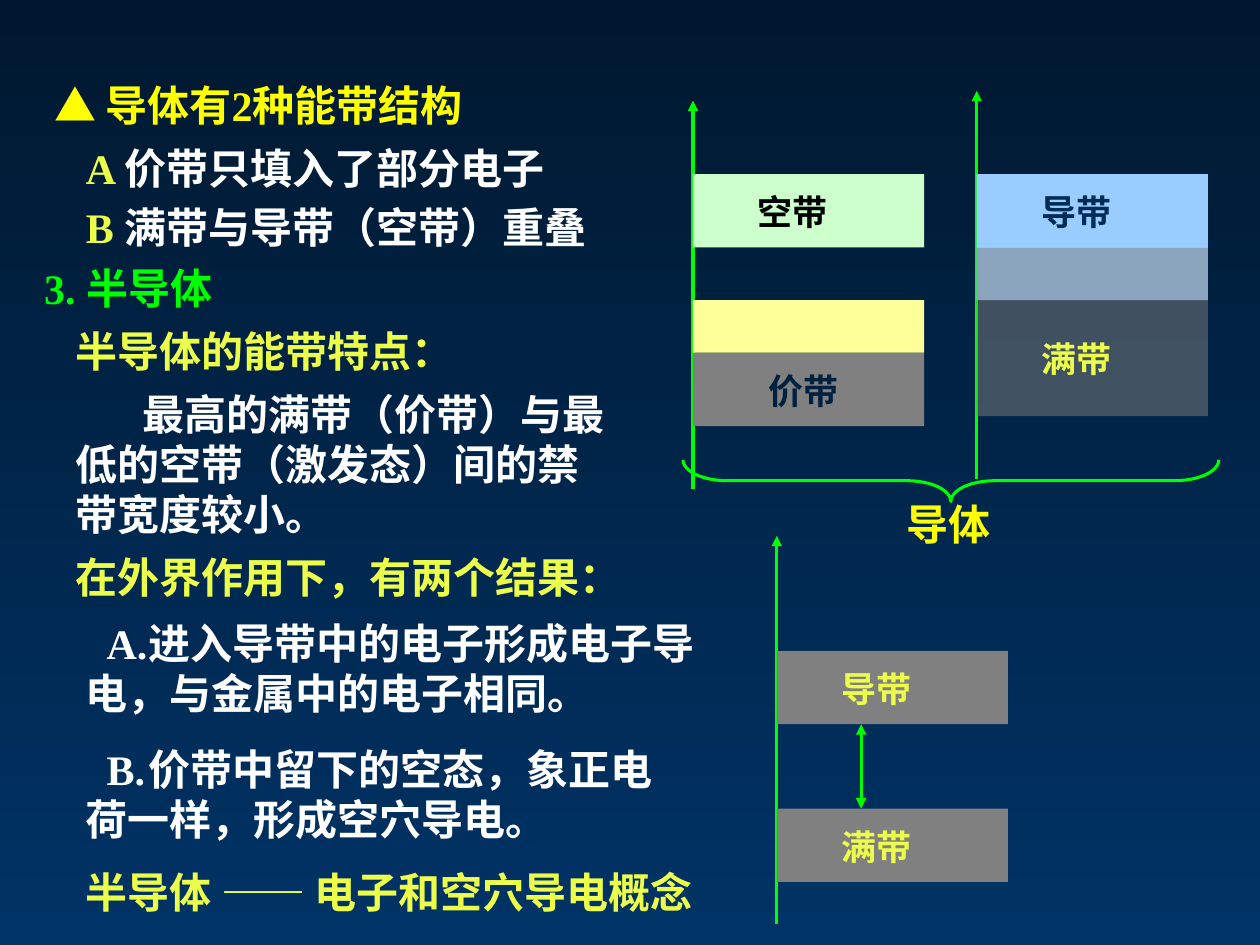
"""Build a slide on the energy bands of conductors and semiconductors."""
import pptx
import pptx.util
import pptx.dml.color
import pptx.enum.shapes
import pptx.enum.text
import pptx.oxml.ns
import lxml.etree

Cm = pptx.util.Cm
Pt = pptx.util.Pt
qn = pptx.oxml.ns.qn
kinds = pptx.enum.shapes.MSO_SHAPE
green, lime, yellow, white, gray = "00FF00", "EDFE4A", "FFFF00", "FFFFFF", "808080"


def hue(code):
    return pptx.dml.color.RGBColor.from_string(code)


def write(box, runs, size, first=0, tab=0):
    left, top, wide, high = box
    frame = slide.shapes.add_textbox(Cm(left), Cm(top), Cm(wide), Cm(high)).text_frame
    frame.word_wrap = True
    frame.auto_size = pptx.enum.text.MSO_AUTO_SIZE.SHAPE_TO_FIT_TEXT
    para = frame.paragraphs[0]
    props = para._p.get_or_add_pPr()
    if first:
        props.set("marL", "0")
        props.set("indent", str(Cm(first)))
    if tab:
        stops = lxml.etree.SubElement(props, qn("a:tabLst"))
        lxml.etree.SubElement(stops, qn("a:tab"), pos=str(Cm(tab)), algn="l")
    for words, code in runs:
        run = para.add_run()
        run.text = words
        style = {"name": "Times New Roman", "size": Pt(size), "bold": True}
        for key, value in style.items():
            setattr(run.font, key, value)
        run.font.color.rgb = hue(code)


deck = pptx.Presentation()
deck.slide_width, deck.slide_height = Cm(25.4), Cm(19.05)
slide = deck.slides.add_slide(deck.slide_layouts[6])

back = slide.background.fill
back.gradient()
back.gradient_angle = 270
for stop, code in zip(back.gradient_stops, ("00182F", "003366")):
    stop.color.rgb = hue(code)

arrows = [
    (19.69, 9.65, 1.83, ["tailEnd"]),
    (13.97, 9.86, 2.03, ["tailEnd"]),
    (15.66, 18.62, 10.8, ["tailEnd"]),
    (17.36, 14.6, 16.3, ["headEnd", "tailEnd"]),
]
for x, start, end, tips in arrows:
    line = slide.shapes.add_connector(
        pptx.enum.shapes.MSO_CONNECTOR.STRAIGHT, Cm(x), Cm(start), Cm(x), Cm(end))
    line.line.color.rgb = hue(green)
    line.line.width = Pt(1.75)
    for tip in tips:
        lxml.etree.SubElement(line.line._get_or_add_ln(), qn("a:" + tip), type="triangle")
    lxml.etree.SubElement(line._element.spPr, qn("a:effectLst"))

bands = [
    (19.69, 3.51, 2.54, "99CCFF", 100, "导带", "002B56", 1.06, 0.21),
    (13.97, 3.51, 1.48, "CCFFCC", 100, "空带", "000000", 1.06, 0.21),
    (13.97, 7.11, 1.48, gray, 100, "价带", "002040", 1.27, 0.21),
    (13.97, 6.05, 1.06, "FFFF99", 100, "", "", 0, 0),
    (19.69, 5, 3.39, gray, 50, "满带", lime, 1.06, 1.68),
    (15.66, 16.3, 1.48, gray, 100, "满带", lime, 1.06, 0.21),
    (15.66, 13.12, 1.48, gray, 100, "导带", lime, 1.06, 0.21),
]
for left, top, high, code, solid, name, ink, right, down in bands:
    band = slide.shapes.add_shape(kinds.RECTANGLE, Cm(left), Cm(top), Cm(4.66), Cm(high))
    band.shadow.inherit = False
    band.fill.solid()
    band.fill.fore_color.rgb = hue(code)
    band.line.fill.background()
    if solid < 100:
        color = band._element.spPr.find(".//" + qn("a:srgbClr"))
        lxml.etree.SubElement(color, qn("a:alpha"), val=str(solid * 1000))
    if name:
        write((left + right, top + down, 3.6, 1.1), [(name, ink)], 20)

brace = slide.shapes.add_shape(kinds.LEFT_BRACE, Cm(18.75), Cm(4.29), Cm(0.84), Cm(10.8))
brace.rotation = 270
brace.adjustments[0] = 1.06
brace.adjustments[1] = 0.5
brace.shadow.inherit = False
brace.fill.background()
brace.line.color.rgb = hue(green)
brace.line.width = Pt(1.75)

notes = [
    ((0.84, 1.47, 11.43, 1.27), [("▲ 导体有2种能带结构", yellow)], 0, 0),
    ((18.03, 9.93, 4.66, 1.27), [("导体", yellow)], 0, 0),
    ((1.48, 2.75, 11.91, 1.27), [("A ", lime), ("价带只填入了部分电子", white)], 0, 0),
    ((1.48, 3.93, 13.76, 1.27), [("B ", lime), ("满带与导带（空带）重叠", white)], 0, 0),
    ((0.64, 5.16, 12.06, 1.27), [("3. 半导体", green)], 0, 0),
    ((1.27, 6.43, 11.91, 1.27), [("半导体的能带特点：", lime)], 0, 0),
    ((1.27, 7.7, 11.22, 3.32),
     [("最高的满带（价带）与最低的空带（激发态）间的禁带宽度较小。", white)], 1.35, 0),
    ((1.27, 11, 13.34, 1.27), [("在外界作用下，有两个结果：", lime)], 0, 0),
    ((1.48, 12.32, 13, 2.3),
     [("A.\t进入导带中的电子形成电子导电，与金属中的电子相同。", white)], 0.42, 1.87),
    ((1.48, 14.86, 12.62, 2.3),
     [("B.\t价带中留下的空态，象正电荷一样，形成空穴导电。", white)], 0.42, 1.84),
    ((1.48, 17.35, 17.98, 1.27), [("半导体 —— 电子和空穴导电概念", lime)], 0, 0),
]
for box, runs, first, tab in notes:
    write(box, runs, 24, first, tab)

deck.save("out.pptx")
